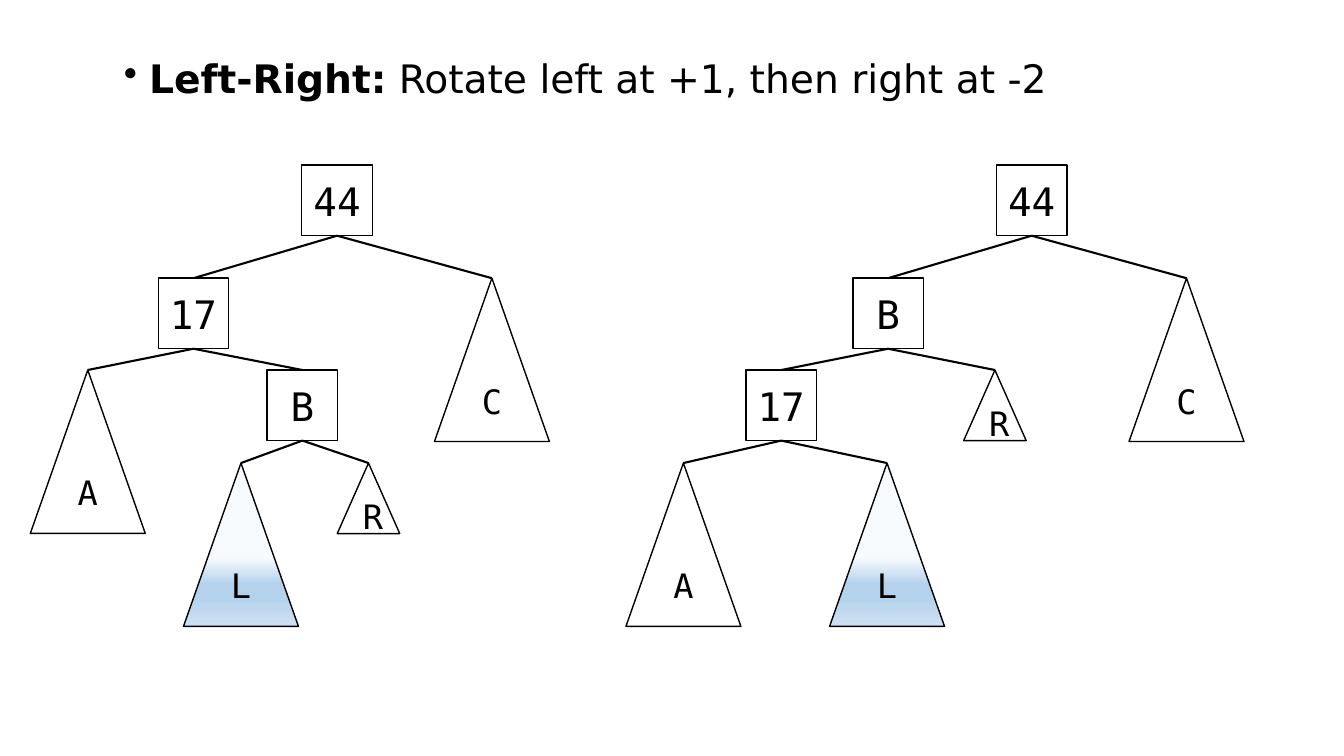
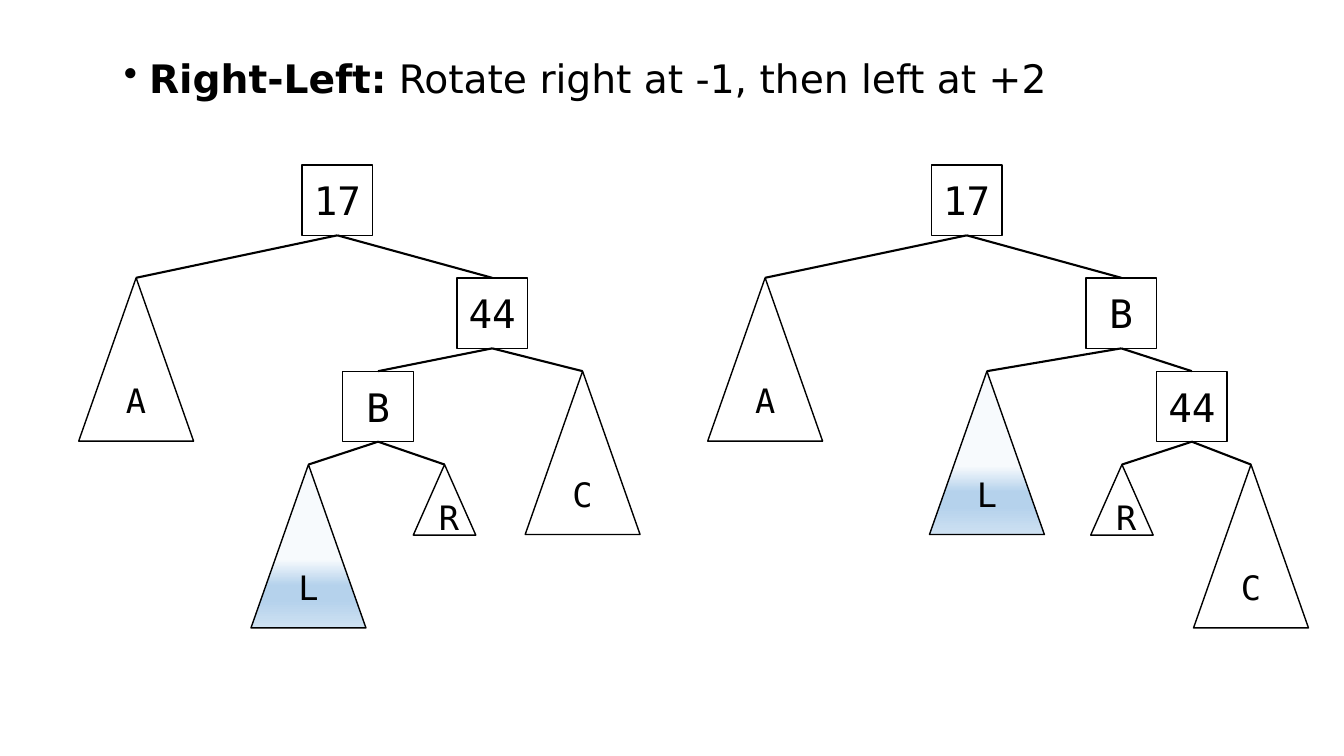
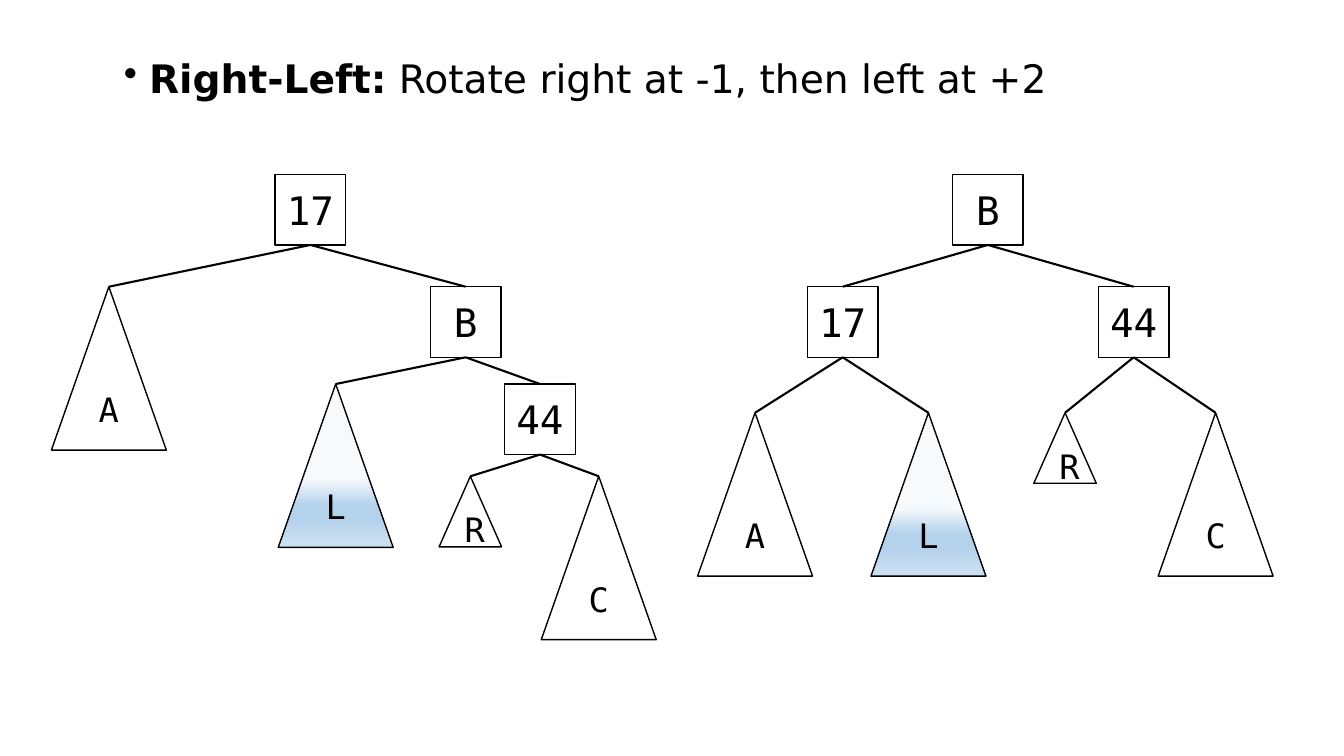
from typing import NamedTuple

from lxml import etree
from pptx import Presentation
from pptx.dml.color import RGBColor
from pptx.enum.shapes import MSO_CONNECTOR, MSO_SHAPE
from pptx.enum.text import MSO_ANCHOR, PP_ALIGN
from pptx.oxml.ns import qn
from pptx.util import Inches, Pt

SLIDE_WIDTH = Inches(13.33)
SLIDE_HEIGHT = Inches(7.5)
BLACK = "000000"
SUBTREE_GRADIENT = [(58, "F7FAFD"), (74, "B5D2EC"), (83, "B5D2EC"), (100, "CEE1F2")]
TITLE_FONT = "DejaVu Sans"
NODE_FONT = "DejaVu Sans Mono"
BOX_SIZE = (5.25, 9.33)
TALL_SIZE = (8.55, 21.6)
SHORT_SIZE = (4.65, 9.33)


class Node(NamedTuple):
    label: str
    center: float
    children: tuple = ()


def color(hex_text):
    return RGBColor.from_string(hex_text)


def across(share):
    return round(SLIDE_WIDTH * share / 100)


def down(share):
    return round(SLIDE_HEIGHT * share / 100)


def style_span(span, font_name, size, bold=False):
    span.font.name = font_name
    span.font.size = Pt(size)
    span.font.bold = bold
    span.font.color.rgb = color(BLACK)


def style_line(line, width):
    line.color.rgb = color(BLACK)
    line.width = Pt(width)


def add_title(page, heading, detail):
    box = page.shapes.add_textbox(across(8.48), down(6.53), across(86.25), down(9.2))
    box.text_frame.word_wrap = True
    para = box.text_frame.paragraphs[0]
    para.space_before = Pt(10)
    para.space_after = Pt(12)
    for text, bold in ((heading, True), (detail, False)):
        span = para.add_run()
        span.text = text
        style_span(span, TITLE_FONT, 28, bold)
    properties = para._p.get_or_add_pPr()
    properties.set("marL", str(Inches(0.25)))
    properties.set("indent", str(-Inches(0.25)))
    etree.SubElement(properties, qn("a:buChar")).set("char", "•")


def fill_gradient(shape, stops):
    shape.fill.gradient()
    shape.fill.gradient_angle = 270
    stop_list = shape.element.spPr.find(qn("a:gradFill")).find(qn("a:gsLst"))
    for old_stop in list(stop_list):
        stop_list.remove(old_stop)
    for position, hex_text in stops:
        stop = etree.SubElement(stop_list, qn("a:gs"))
        stop.set("pos", str(position * 1000))
        etree.SubElement(stop, qn("a:srgbClr")).set("val", hex_text)


def add_node(page, node, top):
    if node.children:
        kind, size, text_size = MSO_SHAPE.RECTANGLE, BOX_SIZE, 28
    else:
        kind, text_size = MSO_SHAPE.ISOSCELES_TRIANGLE, 24
        size = SHORT_SIZE if node.label == "R" else TALL_SIZE
    width, height = size
    shape = page.shapes.add_shape(
        kind, across(node.center - width / 2), down(top), across(width), down(height)
    )
    shape.shadow.inherit = False
    if node.label == "L":
        fill_gradient(shape, SUBTREE_GRADIENT)
    else:
        shape.fill.background()
    style_line(shape.line, 1)
    frame = shape.text_frame
    frame.text = node.label
    frame.vertical_anchor = MSO_ANCHOR.MIDDLE
    para = frame.paragraphs[0]
    para.alignment = PP_ALIGN.CENTER
    style_span(para.runs[0], NODE_FONT, text_size)


def add_branch(page, parent, parent_top, child, child_top):
    branch = page.shapes.add_connector(
        MSO_CONNECTOR.STRAIGHT,
        across(parent.center),
        down(parent_top + BOX_SIZE[1]),
        across(child.center),
        down(child_top),
    )
    style_line(branch.line, 1.5)
    etree.SubElement(branch.element.spPr, qn("a:effectLst"))


def add_tree(page, node, tops):
    add_node(page, node, tops[0])
    for child in node.children:
        add_branch(page, node, tops[0], child, tops[1])
        add_tree(page, child, tops[1:])


LEFT_RIGHT = ("Left-Right:", " Rotate left at +1, then right at -2")
RIGHT_LEFT = ("Right-Left:", " Rotate right at -1, then left at +2")

FIRST_TOPS = (21.85, 36.8, 48.95, 61.25)
SECOND_TOPS = (21.8, 36.75, 49.1, 61.45)
THIRD_TOPS = (23.07, 37.93, 50.8, 63)
BALANCED_TOPS = (23.07, 37.93, 54.6)

LEFT_RIGHT_START = Node("44", 25.08, (
    Node("17", 14.4, (
        Node("A", 6.53),
        Node("B", 22.5, (Node("L", 17.93), Node("R", 27.42))),
    )),
    Node("C", 36.6),
))
LEFT_RIGHT_ROTATED = Node("44", 76.76, (
    Node("B", 66.08, (
        Node("17", 58.13, (Node("A", 50.85), Node("L", 66))),
        Node("R", 74.03),
    )),
    Node("C", 88.28),
))
RIGHT_LEFT_START = Node("17", 25.1, (
    Node("A", 10.13),
    Node("44", 36.62, (
        Node("B", 28.13, (Node("L", 22.95), Node("R", 33.08))),
        Node("C", 43.35),
    )),
))
RIGHT_LEFT_ROTATED = Node("17", 71.93, (
    Node("A", 56.93),
    Node("B", 83.43, (
        Node("L", 73.43),
        Node("44", 88.68, (Node("R", 83.48), Node("C", 93.08))),
    )),
))
RIGHT_LEFT_MIDDLE = Node("17", 23.1, (
    Node("A", 8.1),
    Node("B", 34.65, (
        Node("L", 24.98),
        Node("44", 40.18, (Node("R", 35), Node("C", 44.55))),
    )),
))
RIGHT_LEFT_BALANCED = Node("B", 73.5, (
    Node("17", 62.7, (Node("A", 56.18), Node("L", 69.08))),
    Node("44", 84.35, (Node("R", 79.25), Node("C", 90.45))),
))

PAGES = (
    (LEFT_RIGHT, ((LEFT_RIGHT_START, FIRST_TOPS), (LEFT_RIGHT_ROTATED, FIRST_TOPS))),
    (RIGHT_LEFT, ((RIGHT_LEFT_START, SECOND_TOPS), (RIGHT_LEFT_ROTATED, SECOND_TOPS))),
    (RIGHT_LEFT, ((RIGHT_LEFT_MIDDLE, THIRD_TOPS), (RIGHT_LEFT_BALANCED, BALANCED_TOPS))),
)


def main():
    deck = Presentation()
    deck.slide_width = SLIDE_WIDTH
    deck.slide_height = SLIDE_HEIGHT
    for title, trees in PAGES:
        page = deck.slides.add_slide(deck.slide_layouts[6])
        add_title(page, *title)
        for root, tops in trees:
            add_tree(page, root, tops)
    deck.save("out.pptx")


if __name__ == "__main__":
    main()
